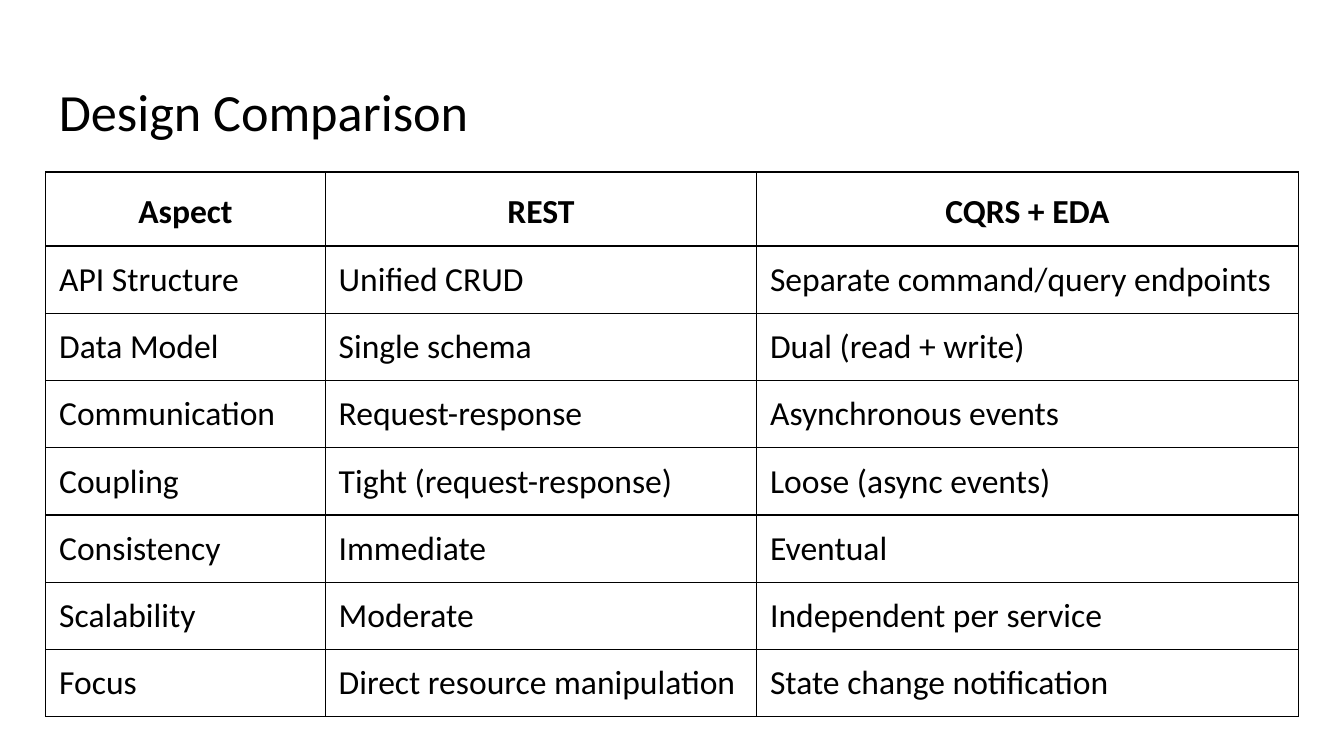
from lxml import etree
from pptx import Presentation
from pptx.dml.color import RGBColor
from pptx.enum.text import MSO_ANCHOR, PP_ALIGN
from pptx.oxml.ns import qn
from pptx.util import Inches, Pt

LEFT, CENTER = PP_ALIGN.LEFT, PP_ALIGN.CENTER
TOP, MIDDLE = MSO_ANCHOR.TOP, MSO_ANCHOR.MIDDLE
COLORS = {"ink": "000000", "paper": "FFFFFF"}
FONT = "Calibri"
PAD = Inches(0.1)
WIDTHS = [2.08, 3.21, 4.03]
HEAD, ROW = 0.55, 0.5
ROWS = [
    ["Aspect", "REST", "CQRS + EDA"],
    ["API Structure", "Unified CRUD", "Separate command/query endpoints"],
    ["Data Model", "Single schema", "Dual (read + write)"],
    ["Communication", "Request-response", "Asynchronous events"],
    ["Coupling", "Tight (request-response)", "Loose (async events)"],
    ["Consistency", "Immediate", "Eventual"],
    ["Scalability", "Moderate", "Independent per service"],
    ["Focus", "Direct resource manipulation", "State change notification"],
]


def write(frame, text, size=18, bold=False, align=LEFT, space=1.0):
    para = frame.paragraphs[0]
    para.alignment = align
    para.line_spacing = space
    run = para.add_run()
    run.text = text
    run.font.name = FONT
    run.font.size = Pt(size)
    run.font.bold = bold
    run.font.color.rgb = RGBColor.from_string(COLORS["ink"])


def pad(item):
    item.margin_left = item.margin_right = PAD
    item.margin_top = item.margin_bottom = PAD


class Deck:
    def __init__(self, width, height):
        self.file = Presentation()
        self.file.slide_width = Inches(width)
        self.file.slide_height = Inches(height)
        self.slide = self.file.slides.add_slide(self.file.slide_layouts[6])

    def title(self, text, left, top, width, height):
        box = self.slide.shapes.add_textbox(
            Inches(left), Inches(top), Inches(width), Inches(height))
        frame = box.text_frame
        frame.word_wrap = True
        frame.vertical_anchor = TOP
        pad(frame)
        write(frame, text, size=28)

    def border(self, cell):
        props = cell._tc.get_or_add_tcPr()
        for index, side in enumerate(("lnL", "lnR", "lnT", "lnB")):
            line = etree.Element(qn("a:" + side), w=str(Pt(0.75)))
            fill = etree.SubElement(line, qn("a:solidFill"))
            etree.SubElement(fill, qn("a:srgbClr"), val=COLORS["ink"])
            props.insert(index, line)

    def table(self, rows, left, top, widths, heights):
        grid = self.slide.shapes.add_table(
            len(rows), len(widths), Inches(left), Inches(top),
            Inches(sum(widths)), Inches(sum(heights))).table
        grid.first_row = grid.horz_banding = False
        for col, width in zip(grid.columns, widths):
            col.width = Inches(width)
        for index, (row, texts) in enumerate(zip(grid.rows, rows)):
            row.height = Inches(heights[index])
            style = {} if index else {"bold": True, "align": CENTER, "space": 1.15}
            for cell, text in zip(row.cells, texts):
                pad(cell)
                cell.vertical_anchor = MIDDLE
                cell.fill.solid()
                cell.fill.fore_color.rgb = RGBColor.from_string(COLORS["paper"])
                self.border(cell)
                write(cell.text_frame, text, **style)


def main():
    deck = Deck(10, 10 * 9 / 16)
    deck.title("Design Comparison", 0.34, 0.49, 9.32, 0.67)
    deck.table(ROWS, 0.34, 1.28, WIDTHS, [HEAD] + [ROW] * (len(ROWS) - 1))
    deck.file.save("out.pptx")


if __name__ == "__main__":
    main()
